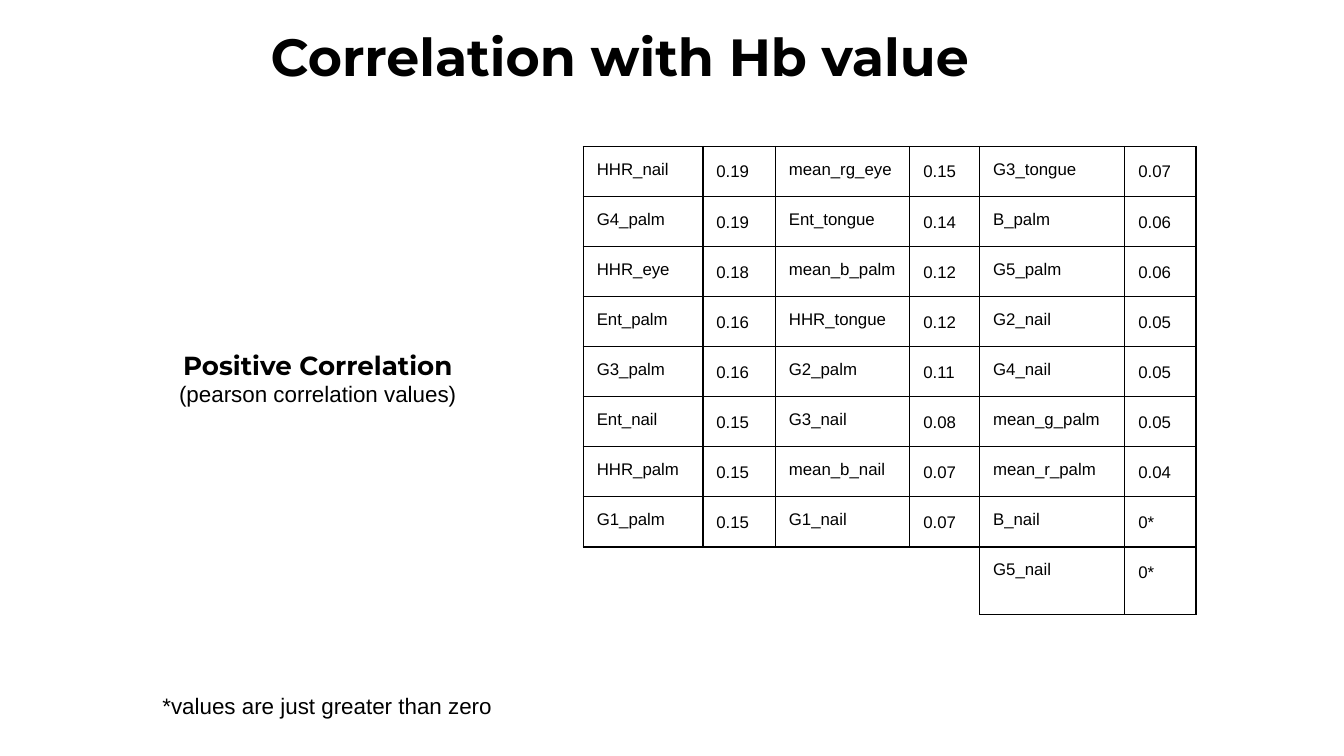
from dataclasses import dataclass

from lxml import etree
from pptx import Presentation
from pptx.dml.color import RGBColor
from pptx.enum.text import MSO_ANCHOR, MSO_AUTO_SIZE, PP_ALIGN
from pptx.oxml.ns import qn
from pptx.util import Inches, Pt

CENTER = PP_ALIGN.CENTER
LEFT = PP_ALIGN.LEFT
TOP = MSO_ANCHOR.TOP
BOTTOM = MSO_ANCHOR.BOTTOM
NO_AUTOFIT = MSO_AUTO_SIZE.NONE


@dataclass(frozen=True)
class Theme:
    ink: str = "000000"
    heading_font: str = "Montserrat"
    body_font: str = "Arial"
    title_size: float = 28
    heading_size: float = 14
    body_size: float = 12
    table_size: float = 9
    border_width: float = 0.75
    inset: float = 0.1


@dataclass(frozen=True)
class Line:
    text: str
    size: float
    font: str
    bold: bool = False


@dataclass(frozen=True)
class Box:
    left: float
    top: float
    width: float
    height: float


@dataclass(frozen=True)
class Feature:
    name: str
    value: str


THEME = Theme()
SLIDE_WIDTH = 10
SLIDE_HEIGHT = SLIDE_WIDTH * 9 / 16
COLUMN_WIDTHS = [0.89, 0.54, 1, 0.52, 1.08, 0.53]
ROW_HEIGHT = 2.98 / 8
LAST_ROW_HEIGHT = 0.5
FEATURE_GROUPS = [
    [
        Feature("HHR_nail", "0.19"),
        Feature("G4_palm", "0.19"),
        Feature("HHR_eye", "0.18"),
        Feature("Ent_palm", "0.16"),
        Feature("G3_palm", "0.16"),
        Feature("Ent_nail", "0.15"),
        Feature("HHR_palm", "0.15"),
        Feature("G1_palm", "0.15"),
    ],
    [
        Feature("mean_rg_eye", "0.15"),
        Feature("Ent_tongue", "0.14"),
        Feature("mean_b_palm", "0.12"),
        Feature("HHR_tongue", "0.12"),
        Feature("G2_palm", "0.11"),
        Feature("G3_nail", "0.08"),
        Feature("mean_b_nail", "0.07"),
        Feature("G1_nail", "0.07"),
    ],
    [
        Feature("G3_tongue", "0.07"),
        Feature("B_palm", "0.06"),
        Feature("G5_palm", "0.06"),
        Feature("G2_nail", "0.05"),
        Feature("G4_nail", "0.05"),
        Feature("mean_g_palm", "0.05"),
        Feature("mean_r_palm", "0.04"),
        Feature("B_nail", "0*"),
        Feature("G5_nail", "0*"),
    ],
]


def add_line(paragraph, line: Line) -> None:
    run = paragraph.add_run()
    run.text = line.text
    run.font.name = line.font
    run.font.size = Pt(line.size)
    run.font.bold = line.bold
    run.font.color.rgb = RGBColor.from_string(THEME.ink)


def set_insets(holder) -> None:
    holder.margin_left = holder.margin_right = Inches(THEME.inset)
    holder.margin_top = holder.margin_bottom = Inches(THEME.inset)


def write_text(shape, box: Box, lines: list[Line], alignment, anchor) -> None:
    shape.left, shape.top = Inches(box.left), Inches(box.top)
    shape.width, shape.height = Inches(box.width), Inches(box.height)
    frame = shape.text_frame
    frame.word_wrap = True
    frame.auto_size = NO_AUTOFIT
    frame.vertical_anchor = anchor
    set_insets(frame)
    for index, line in enumerate(lines):
        paragraph = frame.add_paragraph() if index else frame.paragraphs[0]
        paragraph.alignment = alignment
        paragraph.line_spacing = 1.0
        paragraph.space_before = Pt(0)
        add_line(paragraph, line)


def set_borders(cell, sides: str) -> None:
    properties = cell._tc.get_or_add_tcPr()
    for index, side in enumerate("LRTB"):
        border = etree.Element(qn(f"a:ln{side}"), w=str(Pt(THEME.border_width)))
        if side in sides:
            fill = etree.SubElement(border, qn("a:solidFill"))
            etree.SubElement(fill, qn("a:srgbClr"), val=THEME.ink)
        else:
            etree.SubElement(border, qn("a:noFill"))
        properties.insert(index, border)


def add_feature_table(slide, left: float, top: float) -> None:
    row_count = max(len(group) for group in FEATURE_GROUPS)
    heights = [ROW_HEIGHT] * (row_count - 1) + [LAST_ROW_HEIGHT]
    table = slide.shapes.add_table(
        row_count, len(COLUMN_WIDTHS), Inches(left), Inches(top),
        Inches(sum(COLUMN_WIDTHS)), Inches(sum(heights)),
    ).table
    table.first_row = False
    table.horz_banding = False
    for column, width in zip(table.columns, COLUMN_WIDTHS):
        column.width = Inches(width)
    for row, height in zip(table.rows, heights):
        row.height = Inches(height)

    for row_index in range(row_count):
        for column_index in range(len(COLUMN_WIDTHS)):
            cell = table.cell(row_index, column_index)
            cell.fill.background()
            set_insets(cell)
            group_index, is_value = divmod(column_index, 2)
            group = FEATURE_GROUPS[group_index]
            if row_index < len(group):
                feature = group[row_index]
                paragraph = cell.text_frame.paragraphs[0]
                if is_value:
                    paragraph.line_spacing = 1.15
                text = feature.value if is_value else feature.name
                add_line(paragraph, Line(text, THEME.table_size, THEME.body_font))
                set_borders(cell, "LRTB")
            else:
                beside_filled = column_index == 2 * len(FEATURE_GROUPS) - 3
                set_borders(cell, "RT" if beside_filled else "T")


def main() -> None:
    presentation = Presentation()
    presentation.slide_width = Inches(SLIDE_WIDTH)
    presentation.slide_height = Inches(SLIDE_HEIGHT)
    slide = presentation.slides.add_slide(presentation.slide_layouts[0])

    title = Line("Correlation with Hb value", THEME.title_size, THEME.heading_font, True)
    write_text(slide.shapes.title, Box(0.39, 0.08, 8.44, 0.67), [title], CENTER, TOP)

    subtitle = [
        Line("Positive Correlation", THEME.heading_size, THEME.heading_font, True),
        Line("(pearson correlation values)", THEME.body_size, THEME.body_font),
    ]
    write_text(slide.placeholders[1], Box(0.39, 2.49, 3.95, 0.64), subtitle, CENTER, BOTTOM)

    add_feature_table(slide, 4.34, 1.09)

    footnote = Line("*values are just greater than zero", THEME.body_size, THEME.body_font)
    footnote_box = slide.shapes.add_textbox(0, 0, 0, 0)
    write_text(footnote_box, Box(1.11, 5.05, 2.83, 0.37), [footnote], LEFT, TOP)

    presentation.save("out.pptx")


if __name__ == "__main__":
    main()
